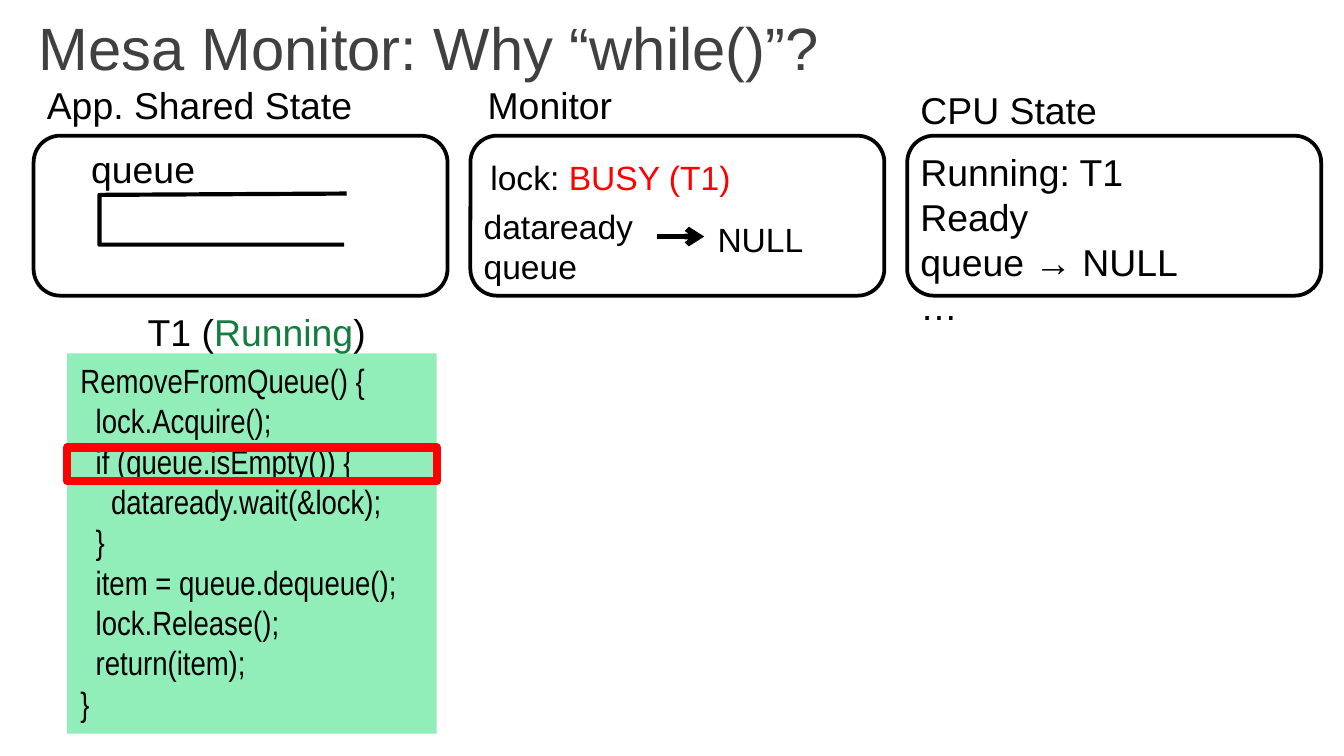
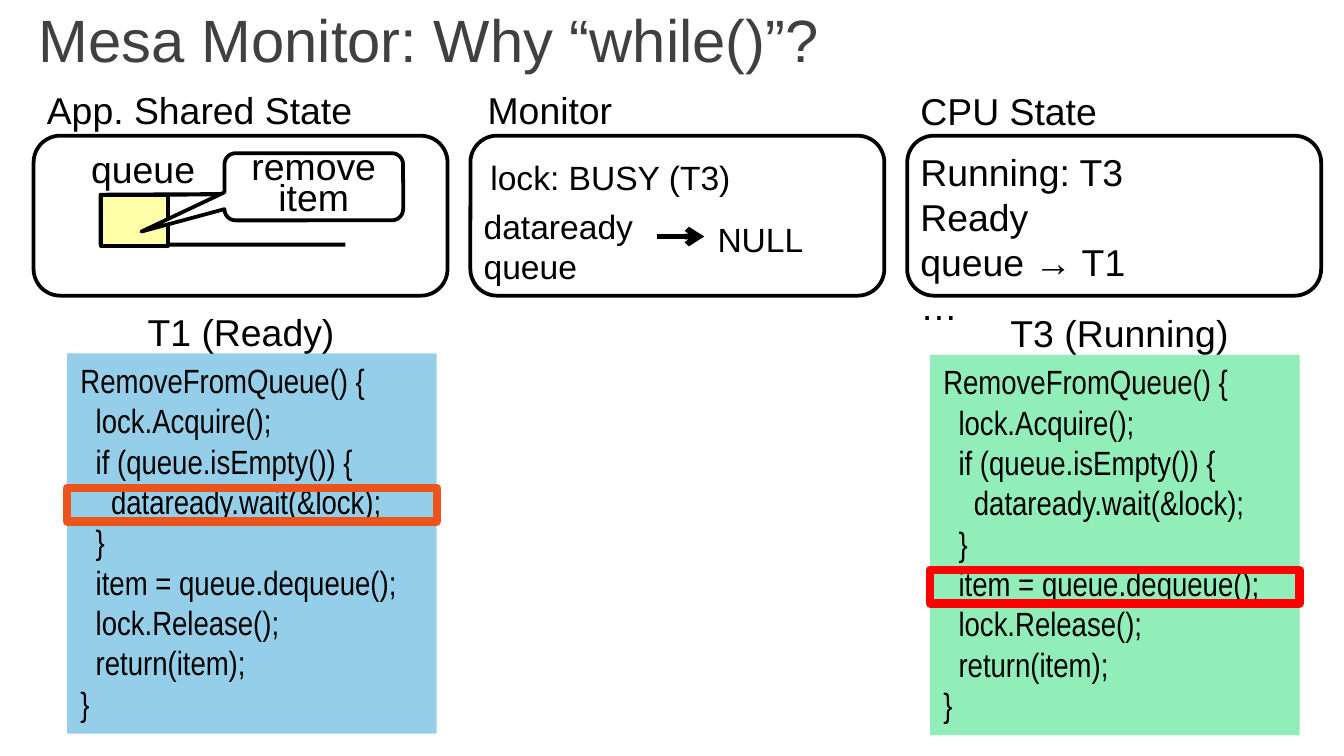
from lxml.etree import SubElement
from pptx import Presentation
from pptx.dml.color import RGBColor
from pptx.enum.shapes import MSO_CONNECTOR as Connector, MSO_SHAPE as Shape
from pptx.enum.text import MSO_ANCHOR as Anchor, MSO_AUTO_SIZE as AutoSize, PP_ALIGN as Align
from pptx.oxml.ns import qn
from pptx.util import Inches, Pt

COLORS = {
    "black": "000000", "title": "404040", "red": "FF0000", "orange": "EC541B",
    "green_text": "137D40", "running": "91EEB9", "ready": "95CEE8",
    "item": "FFFFAA", "white": "FFFFFF",
}
CODE = [
    "RemoveFromQueue() {\n  lock.Acquire(); \n  if (queue.isEmpty()) {",
    "    dataready.wait(&lock);",
    "  }\n  item = queue.dequeue(); \n  lock.Release();",
    "  return(item);",
    "}",
]
PANEL_LEFTS = [0.25, 3.5, 6.75]
CODE_WIDTH, CODE_LINE = 2.75, 0.3


def color(name):
    return RGBColor.from_string(COLORS[name])


def write(frame, paragraphs, size, font="Arial", align=Align.LEFT, spacing=None):
    """Fill a frame; each paragraph is a string or a list of (text, colour) runs."""
    for index, content in enumerate(paragraphs):
        para = frame.paragraphs[0] if index == 0 else frame.add_paragraph()
        para.alignment = align
        if spacing:
            para.line_spacing = spacing
        runs = [(content, "black")] if isinstance(content, str) else content
        for text, tint in runs:
            for number, line in enumerate(text.split("\n")):
                if number:
                    para.add_line_break()
                span = para.add_run()
                span.text = line
                span.font.size = Pt(size)
                span.font.name = font
                span.font.color.rgb = color(tint)


def add_title(page, text, top):
    title = page.shapes.title
    title.left, title.top = Inches(0.19), Inches(top)
    title.width, title.height = Inches(9.68), Inches(0.94)
    title.text_frame.vertical_anchor = Anchor.MIDDLE
    write(title.text_frame, [[(text, "title")]], 32)


def add_text(page, left, top, width, height, paragraphs, size=20):
    box = page.shapes.add_textbox(Inches(left), Inches(top), Inches(width), Inches(height))
    box.text_frame.word_wrap = False
    box.text_frame.auto_size = AutoSize.SHAPE_TO_FIT_TEXT
    write(box.text_frame, paragraphs, size)


def style(shape, fill=None, line=None, weight=2):
    shape.shadow.inherit = False
    if fill:
        shape.fill.solid()
        shape.fill.fore_color.rgb = color(fill)
    else:
        shape.fill.background()
    if line:
        shape.line.color.rgb = color(line)
        shape.line.width = Pt(weight)
    else:
        shape.line.fill.background()


def add_box(page, kind, left, top, width, height, fill=None, line=None, weight=2):
    box = page.shapes.add_shape(kind, Inches(left), Inches(top), Inches(width), Inches(height))
    style(box, fill, line, weight)
    return box


def add_arrow(page, left, right, y):
    arrow = page.shapes.add_connector(
        Connector.STRAIGHT, Inches(left), Inches(y), Inches(right), Inches(y))
    arrow.line.color.rgb = color("black")
    arrow.line.width = Pt(3)
    SubElement(arrow.line._get_or_add_ln(), qn("a:tailEnd"), type="arrow")
    SubElement(arrow._element.spPr, qn("a:effectLst"))


def add_panels(page, heading_tops):
    headings = [("App. Shared State", 0.25, 2.49), ("Monitor", 3.53, 1.14), ("CPU State", 6.75, 1.53)]
    for panel_left, (text, left, width), top in zip(PANEL_LEFTS, headings, heading_tops):
        add_box(page, Shape.ROUNDED_RECTANGLE, panel_left, 1.01, 3.08, 1.19, line="black")
        add_text(page, left, top, width, 0.44, [text])


def add_queue(page, left):
    add_text(page, 0.58, 1.04, 0.98, 0.44, ["queue"])
    points = [(left + 1.84, 1.44), (left, 1.45), (left, 1.82), (left + 1.82, 1.82)]
    start, *rest = [(Inches(x), Inches(y)) for x, y in points]
    builder = page.shapes.build_freeform(*start)
    builder.add_line_segments(rest, close=False)
    style(builder.convert_to_shape(), line="black", weight=2.25)


def add_monitor(page, lock):
    add_text(page, 3.55, 1.12, 2.01, 0.4, [lock], 18)
    add_text(page, 3.5, 1.48, 1.32, 0.71, ["dataready", "queue"], 18)
    add_arrow(page, 4.89, 5.24, 1.76)
    add_text(page, 5.24, 1.58, 0.85, 0.4, ["NULL"], 18)


def add_cpu(page, running, ready, width):
    lines = [f"Running: {running}", "Ready", f"queue → {ready}", "…"]
    add_text(page, 6.75, 1.06, width, 1.45, lines)


def add_thread(page, left, top, label, label_width, fill, row, marker):
    """Draw a thread's label and code, with a frame around the current row."""
    code = add_box(page, Shape.RECTANGLE, left, top, CODE_WIDTH, 2.83, fill)
    code.text_frame.vertical_anchor = Anchor.TOP
    code.text_frame.auto_size = AutoSize.SHAPE_TO_FIT_TEXT
    write(code.text_frame, CODE, 18, "Arial Narrow")
    add_text(page, left + 0.5, top - 0.38, label_width, 0.44, [label])
    add_box(page, Shape.RECTANGLE, left, top + 0.1 + row * CODE_LINE, CODE_WIDTH, 0.25,
            line=marker, weight=4.5)


def add_callout(page, lines):
    callout = add_box(page, Shape.ROUNDED_RECTANGULAR_CALLOUT, 1.67, 1.14, 1.33, 0.5,
                      "white", "black")
    for index, value in enumerate([-0.965, 0.667, 0.167]):
        callout.adjustments[index] = value
    callout.text_frame.vertical_anchor = Anchor.MIDDLE
    write(callout.text_frame, lines, 20, align=Align.CENTER, spacing=0.7)


def add_page(deck, title_top, heading_tops, queue_left, lock):
    page = deck.slides.add_slide(deck.slide_layouts[5])
    add_title(page, "Mesa Monitor: Why “while()”?", title_top)
    add_panels(page, heading_tops)
    add_queue(page, queue_left)
    add_monitor(page, lock)
    return page


def main():
    deck = Presentation()
    deck.slide_width = Inches(10)
    deck.slide_height = deck.slide_width * 9 // 16

    page = add_page(deck, -0.12, [0.56, 0.56, 0.6], 0.74,
                    [("lock: ", "black"), ("BUSY (T1)", "red")])
    add_cpu(page, "T1", "NULL", 2.13)
    label = [("T1 (", "black"), ("Running", "green_text"), (")", "black")]
    add_thread(page, 0.5, 2.63, label, 1.84, "running", 2, "red")

    page = add_page(deck, -0.18, [0.6, 0.6, 0.61], 0.75, "lock: BUSY (T3)")
    add_cpu(page, "T3", "T1", 1.73)
    add_thread(page, 0.5, 2.63, "T1 (Ready)", 1.6, "ready", 3, "orange")
    add_thread(page, 6.92, 2.64, "T3 (Running)", 1.84, "running", 5, "red")
    add_box(page, Shape.RECTANGLE, 0.75, 1.45, 0.5, 0.38, "item", "black")
    add_callout(page, ["remove", "item"])

    deck.save("out.pptx")


if __name__ == "__main__":
    main()
